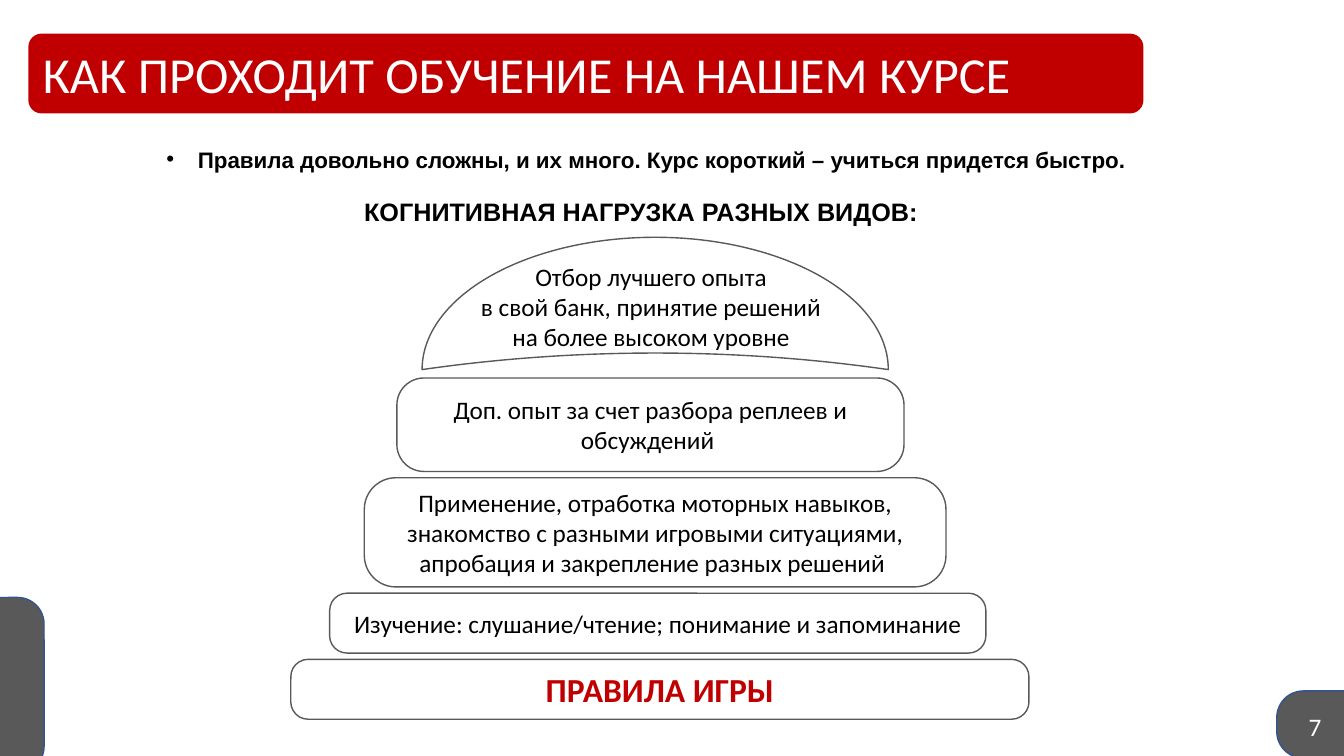
from dataclasses import dataclass

from lxml import etree
from pptx import Presentation
from pptx.dml.color import RGBColor
from pptx.enum.shapes import MSO_SHAPE
from pptx.enum.text import MSO_ANCHOR, MSO_AUTO_SIZE, PP_ALIGN
from pptx.oxml.ns import qn
from pptx.util import Pt

ROUNDED = MSO_SHAPE.ROUNDED_RECTANGLE
MOON = MSO_SHAPE.MOON
MIDDLE = MSO_ANCHOR.MIDDLE
NO_FIT = MSO_AUTO_SIZE.NONE
LEFT, CENTER = PP_ALIGN.LEFT, PP_ALIGN.CENTER

PX = 9525


@dataclass(frozen=True)
class Theme:
    red: RGBColor = RGBColor(0xC0, 0x00, 0x00)
    grey: RGBColor = RGBColor(0x59, 0x59, 0x59)
    blue: RGBColor = RGBColor(0x32, 0x54, 0x91)
    white: RGBColor = RGBColor(0xFF, 0xFF, 0xFF)
    black: RGBColor = RGBColor(0x00, 0x00, 0x00)
    main: str = "Calibri"
    accent: str = "Arial"
    title: int = 36
    base: int = 24
    body: int = 18
    note: int = 16


THEME = Theme()

TIERS = [
    (101, 483, 89, "Доп. опыт за счет разбора реплеев и обсуждений "),
    (70, 554, 104, "Применение, отработка моторных навыков, знакомство с разными "
                   "игровыми ситуациями, апробация и закрепление разных решений "),
    (37, 625, 57, "Изучение: слушание/чтение; понимание и запоминание"),
    (0, 703, 57, "ПРАВИЛА ИГРЫ"),
]
TOP_TIER = ["Отбор лучшего опыта",
            "в свой банк, принятие решений на более высоком уровне"]


def emu(*lengths):
    return [round(n * PX) for n in lengths]


def write(tf, lines, size, color=THEME.black, font=THEME.main, bold=False, align=CENTER):
    tf.word_wrap = True
    tf.text = "\n".join(lines)
    for p in tf.paragraphs:
        p.alignment = align
        for r in p.runs:
            r.font.name, r.font.size, r.font.bold = font, Pt(size), bold
            r.font.color.rgb = color


def add_text(s, box, lines, size, **style):
    tf = s.shapes.add_textbox(*emu(*box)).text_frame
    write(tf, lines, size, **style)
    return tf


def add_outline(s, kind, box, adjustment, fill=None, line=None, rotation=0):
    x, y, w, h = box
    if rotation % 180:
        x, y, w, h = x + (w - h) / 2, y + (h - w) / 2, h, w
    sp = s.shapes.add_shape(kind, *emu(x, y, w, h))
    sp.rotation = rotation
    sp.adjustments[0] = adjustment
    sp.shadow.inherit = False
    if fill is None:
        sp.fill.background()
    else:
        sp.fill.solid()
        sp.fill.fore_color.rgb = fill
    if line is None:
        sp.line.fill.background()
    else:
        sp.line.color.rgb = line
        sp.line.width = Pt(1)
    return sp


def add_title(s, box, text):
    add_outline(s, ROUNDED, box, 0.167, fill=THEME.red)
    x, y, w, h = box
    title = s.shapes.title
    title.left, title.top, title.width, title.height = emu(x + 4, y, w - 8, h)
    tf = title.text_frame
    write(tf, [text], THEME.title, color=THEME.white, align=LEFT)
    tf.auto_size = NO_FIT
    tf.vertical_anchor = MIDDLE
    s.shapes._spTree.append(title._element)


def add_corner_tabs(s, box, number):
    x, y, w, h = box
    tabs = [((x - 22, y + h - 151, 64, 167), 270),
            ((x + w - 64, y + h - 62, 167, 64), 0)]
    for tab, rotation in tabs:
        add_outline(s, ROUNDED, tab, 0.396, THEME.grey, THEME.blue, rotation)
    add_text(s, (x + w - 43, y + h - 47, 31, 38), [number], THEME.body,
             color=THEME.white, align=LEFT)


def add_intro(s, box, note, heading):
    x, y, w, h = box
    tf = add_text(s, (x, y, w, 35), [note], THEME.note,
                  font=THEME.accent, bold=True, align=LEFT)
    pPr = tf.paragraphs[0]._p.get_or_add_pPr()
    indent = 30 * PX
    pPr.set("marL", str(indent))
    pPr.set("indent", str(-indent))
    etree.SubElement(pPr, qn("a:buFont")).set("typeface", THEME.accent)
    etree.SubElement(pPr, qn("a:buChar")).set("char", "•")
    add_text(s, (x, y + h - 38, w - 60, 38), [heading], THEME.body,
             font=THEME.accent, bold=True)


def add_pyramid(s, box):
    x, y, w, h = box
    add_outline(s, MOON, (x + 125, y, 444, 126), 0.875, line=THEME.grey, rotation=90)
    add_text(s, (x + 163, y + 18, 360, 97), TOP_TIER, THEME.body)
    gap = 6
    top = y + h - sum(tier[2] for tier in TIERS) - gap * (len(TIERS) - 1)
    for left, width, height, text in TIERS:
        sp = add_outline(s, ROUNDED, (x + left, top, width, height), 0.289, line=THEME.grey)
        is_base = width == w
        write(sp.text_frame, [text], THEME.base if is_base else THEME.body,
              color=THEME.red if is_base else THEME.black, bold=is_base)
        sp.text_frame.vertical_anchor = MIDDLE
        top += height + gap


def main():
    prs = Presentation()
    prs.slide_width, prs.slide_height = emu(1280, 720)
    s = prs.slides.add_slide(prs.slide_layouts[5])
    add_corner_tabs(s, (0, 0, 1280, 720), "7")
    add_title(s, (27, 32, 1062, 76), "КАК ПРОХОДИТ ОБУЧЕНИЕ НА НАШЕМ КУРСЕ")
    add_intro(s, (149, 134, 983, 86),
              "Правила довольно сложны, и их много. Курс короткий – учиться придется быстро.",
              "КОГНИТИВНАЯ НАГРУЗКА РАЗНЫХ ВИДОВ:")
    add_pyramid(s, (277, 226, 703, 459))
    prs.save("out.pptx")


if __name__ == "__main__":
    main()
